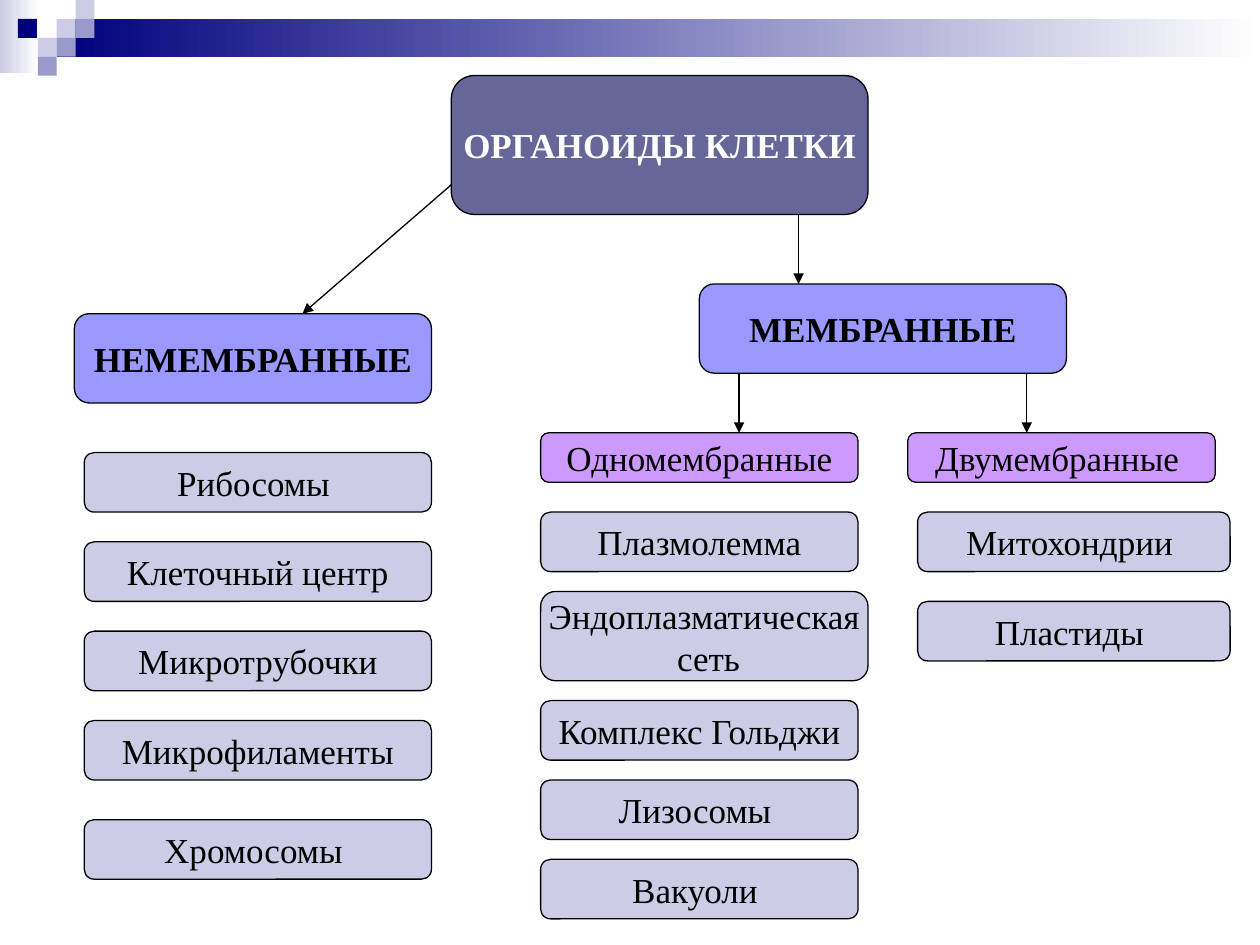
from dataclasses import dataclass
from lxml import etree
from pptx import Presentation
from pptx.dml.color import RGBColor
from pptx.enum.shapes import MSO_CONNECTOR, MSO_SHAPE
from pptx.enum.text import MSO_ANCHOR, PP_ALIGN
from pptx.oxml.ns import qn
from pptx.util import Inches, Pt

RECT = MSO_SHAPE.RECTANGLE
ROUND = MSO_SHAPE.ROUNDED_RECTANGLE
PROCESS = MSO_SHAPE.FLOWCHART_ALTERNATE_PROCESS
STRAIGHT = MSO_CONNECTOR.STRAIGHT
CENTER = PP_ALIGN.CENTER
MIDDLE = MSO_ANCHOR.MIDDLE


@dataclass(frozen=True)
class Theme:
    """Colours and type of the slide."""
    navy: str = "00007D"
    white: str = "FFFFFF"
    black: str = "000000"
    pale: str = "CCCCE6"
    mid: str = "9999CC"
    root: str = "666699"
    group: str = "9999FF"
    subgroup: str = "CC99FF"
    font: str = "Times New Roman"
    size: float = 20
    line: float = 0.75


@dataclass(frozen=True)
class Grid:
    """Square grid that turns column and row counts into lengths."""
    left: float
    top: float
    unit: float

    def x(self, col):
        """Return the horizontal place of a column."""
        return Inches(self.left + col * self.unit)

    def y(self, row):
        """Return the vertical place of a row."""
        return Inches(self.top + row * self.unit)

    def box(self, col, row, cols, rows):
        """Return left, top, width and height of a block of cells."""
        return (self.x(col), self.y(row),
                Inches(cols * self.unit), Inches(rows * self.unit))


THEME = Theme()
HEADER = Grid(0, 0, 0.15)
CHART = Grid(0.59, 0.6, 10 / 127)
NODE_ROWS = 6


def rgb(color):
    """Return a colour object for a hex string."""
    return RGBColor.from_string(color)


def add_text(sp, text, color=THEME.black, bold=False):
    """Write centred text into a shape, one paragraph a line."""
    tf = sp.text_frame
    tf.word_wrap = False
    tf.vertical_anchor = MIDDLE
    for i, line in enumerate(text.split("\n")):
        p = tf.add_paragraph() if i else tf.paragraphs[0]
        p.alignment = CENTER
        r = p.add_run()
        r.text = line
        r.font.name = THEME.font
        r.font.size = Pt(THEME.size)
        r.font.bold = bold
        r.font.color.rgb = rgb(color)


def add_block(s, box, colors, kind=RECT, outline=False):
    """Add a shape with one solid colour or a two-colour gradient."""
    sp = s.shapes.add_shape(kind, *box)
    sp.shadow.inherit = False
    if len(colors) == 1:
        sp.fill.solid()
        sp.fill.fore_color.rgb = rgb(colors[0])
    else:
        sp.fill.gradient()
        sp.fill.gradient_angle = 0
        for stop, color in zip(sp.fill.gradient_stops, colors):
            stop.color.rgb = rgb(color)
    if outline:
        sp.line.color.rgb = rgb(THEME.black)
        sp.line.width = Pt(THEME.line)
    else:
        sp.line.fill.background()
    return sp


def add_node(s, box, text, fill, kind=ROUND, **fmt):
    """Add an outlined, labelled node of the scheme."""
    sp = add_block(s, box, [fill], kind, outline=True)
    if kind == ROUND:
        sp.adjustments[0] = 0.167
    add_text(sp, text, **fmt)


def add_arrow(s, grid, start, end):
    """Add an arrow between two grid points."""
    cx = s.shapes.add_connector(STRAIGHT, grid.x(start[0]), grid.y(start[1]),
                                grid.x(end[0]), grid.y(end[1]))
    cx.line.color.rgb = rgb(THEME.black)
    cx.line.width = Pt(THEME.line)
    ln = cx.line._get_or_add_ln()
    etree.SubElement(ln, qn("a:tailEnd"), type="triangle")
    etree.SubElement(ln.getparent(), qn("a:effectLst"))


def add_header(s, grid):
    """Draw the gradient band and the small squares at the top."""
    add_block(s, grid.box(0, 0, 2.05, 3.87), [THEME.pale, THEME.white])
    add_block(s, grid.box(3, 1, 63.67, 2), [THEME.navy, THEME.white])
    squares = {THEME.pale: [(3, 1), (4, 0), (2, 2)],
               THEME.mid: [(4, 1), (3, 2), (2, 3)],
               THEME.navy: [(0.95, 1)]}
    for color, cells in squares.items():
        for col, row in cells:
            add_block(s, grid.box(col, row, 1, 1), [color])


def add_groups(s, grid):
    """Draw the root, its two groups and the two subgroups."""
    add_node(s, grid.box(38, 0, 42, 14), "ОРГАНОИДЫ КЛЕТКИ", THEME.root,
             PROCESS, color=THEME.white, bold=True)
    for box, text in [((0, 24, 36, 9), "НЕМЕМБРАННЫЕ"),
                      ((63, 21, 37, 9), "МЕМБРАННЫЕ")]:
        add_node(s, grid.box(*box), text, THEME.group, PROCESS, bold=True)
    for box, text in [((47, 36, 32, 5), "Одномембранные"),
                      ((84, 36, 31, 5), "Двумембранные ")]:
        add_node(s, grid.box(*box), text, THEME.subgroup)
    for start, end in [((38, 11), (23, 24)), ((73, 14), (73, 21)),
                       ((67, 30), (67, 36)), ((96, 30), (96, 36))]:
        add_arrow(s, grid, start, end)


def add_column(s, grid, col, cols, items):
    """Draw a column of organelles; a two-line node is taller and wider."""
    for row, text in items:
        extra = text.count("\n")
        box = grid.box(col, row, cols + extra, NODE_ROWS + 3 * extra)
        add_node(s, box, text, THEME.pale)


def main():
    """Build and save the slide."""
    prs = Presentation()
    prs.slide_width, prs.slide_height = Inches(10), Inches(7.5)
    s = prs.slides.add_slide(prs.slide_layouts[6])
    add_header(s, HEADER)
    add_groups(s, CHART)
    add_column(s, CHART, 1, 35, [
        (38, "Рибосомы "), (47, "Клеточный центр"), (56, "Микротрубочки"),
        (65, "Микрофиламенты"), (75, "Хромосомы ")])
    add_column(s, CHART, 47, 32, [
        (44, "Плазмолемма"), (52, "Эндоплазматическая\n сеть"),
        (63, "Комплекс Гольджи"), (71, "Лизосомы "), (79, "Вакуоли ")])
    add_column(s, CHART, 85, 31.5, [(44, "Митохондрии "), (53, "Пластиды ")])
    prs.save("out.pptx")


if __name__ == "__main__":
    main()
